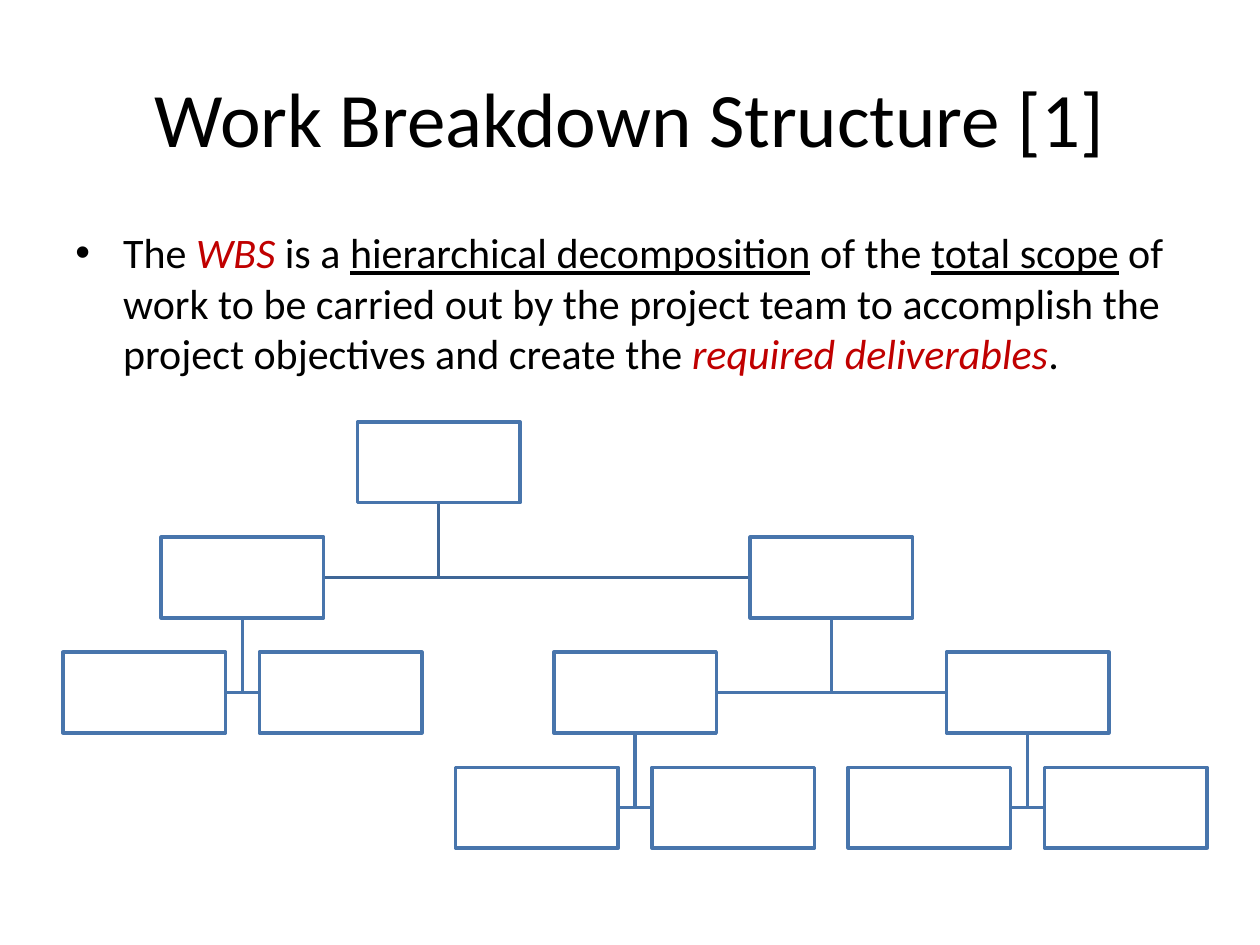
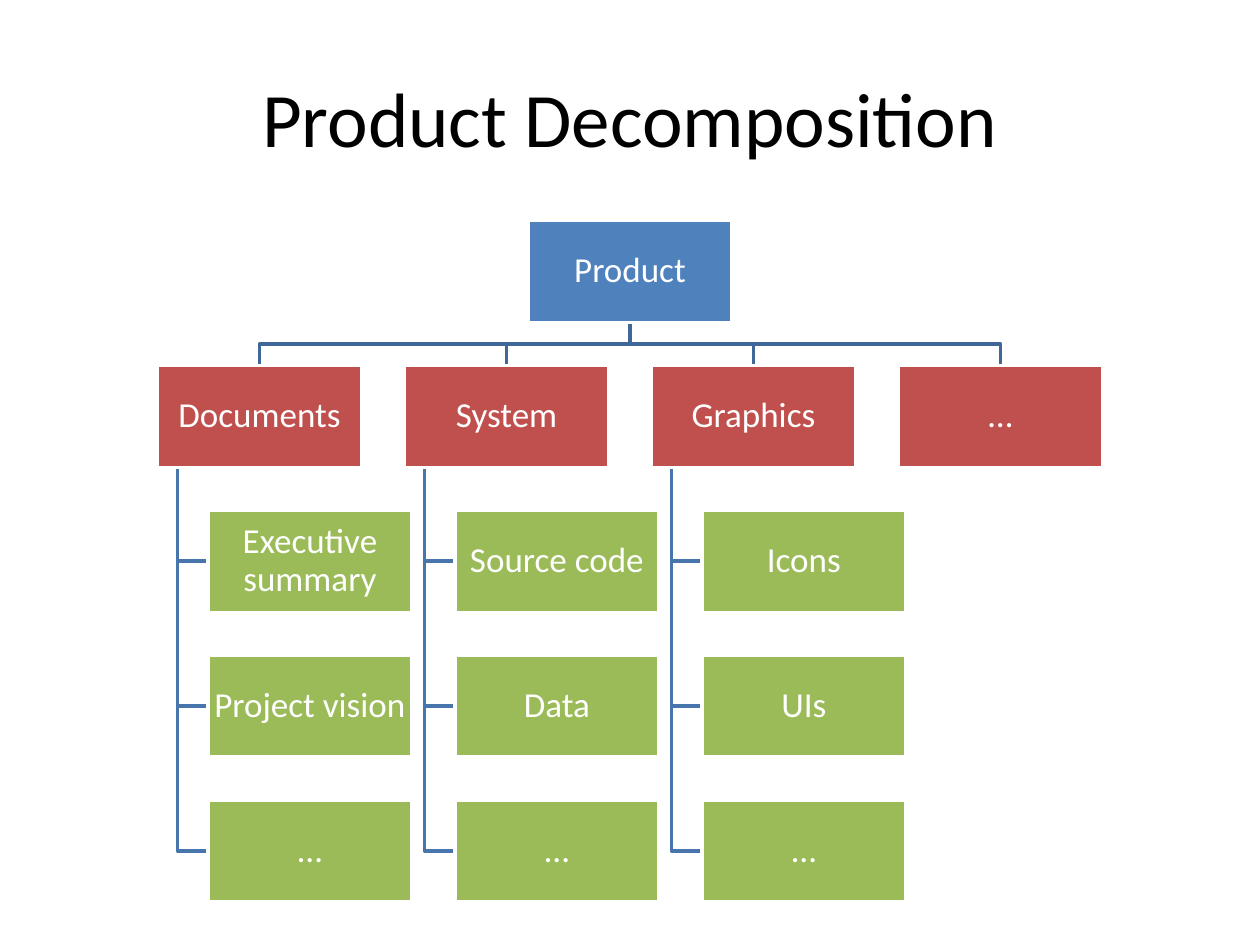
from dataclasses import dataclass
from functools import partial

from lxml import etree
from pptx import Presentation
from pptx import util as u
from pptx.dml.color import RGBColor
from pptx.enum import shapes, text
from pptx.oxml.ns import qn

FONT = "Calibri"
BLACK, WHITE, CRIMSON = "000000", "FFFFFF", "C00000"
BLUE, RED, GREEN = "4F81BD", "C0504D", "9BBB59"
TRUNK, BRANCH = "3F6797", "4875AC"


@dataclass(frozen=True)
class Run:
    text: str
    color: str = ""
    italic: bool = False
    under: bool = False


@dataclass(frozen=True)
class Node:
    """A box of the empty tree, placed by grid column; its depth sets the row."""
    col: int
    kids: tuple["Node", ...] = ()


@dataclass(frozen=True)
class Part:
    name: str
    items: tuple[str, ...] = ()


@dataclass(frozen=True)
class Box:
    x: float
    y: float
    w: float
    h: float

    @property
    def mid(self) -> float:
        return self.x + self.w / 2

    @property
    def low(self) -> float:
        return self.y + self.h

    @property
    def waist(self) -> float:
        return self.y + self.h / 2

    def emu(self) -> list[int]:
        return [u.Inches(n) for n in (self.x, self.y, self.w, self.h)]


TITLE = Box(0.5, 0.3, 9, 1.25)
BODY = Box(0.5, 1.75, 9, 1.33)

SCOPE = (
    Run("The "), Run("WBS", CRIMSON, italic=True), Run(" is a "),
    Run("hierarchical decomposition", under=True), Run(" of the "),
    Run("total scope", under=True),
    Run(" of work to be carried out by the project team to accomplish "
        "the project objectives and create the "),
    Run("required deliverables", CRIMSON, italic=True), Run("."),
)
TREE = Node(3, (
    Node(1, (Node(0), Node(2))),
    Node(7, (
        Node(5, (Node(4), Node(6))),
        Node(9, (Node(8), Node(10))),
    )),
))
PARTS = (
    Part("Documents", ("Executive summary", "Project vision", "…")),
    Part("System", ("Source code", "Data", "…")),
    Part("Graphics", ("Icons", "UIs", "…")),
    Part("…"),
)


def rgb(code: str) -> RGBColor:
    return RGBColor.from_string(code)


def write(frame, *runs: Run, size: float, color: str = BLACK,
          align=text.PP_ALIGN.LEFT, anchor=text.MSO_ANCHOR.TOP,
          inset: float | None = None, lead: float | None = None,
          after: float = 0, bullet: str = "", indent: float = 0) -> None:
    frame.word_wrap = True
    frame.vertical_anchor = anchor
    if inset is not None:
        frame.margin_left = frame.margin_right = u.Inches(inset)
        frame.margin_top = frame.margin_bottom = u.Inches(inset)
    para = frame.paragraphs[0]
    if bullet:
        props = para._p.get_or_add_pPr()
        props.set("marL", str(u.Inches(indent)))
        props.set("indent", str(-u.Inches(indent)))
        etree.SubElement(props, qn("a:buFont"), typeface="Arial")
        etree.SubElement(props, qn("a:buChar"), char=bullet)
    para.alignment = align
    para.space_after = u.Pt(after)
    if lead:
        para.line_spacing = lead
    for part in runs:
        run = para.add_run()
        run.text = part.text
        font = run.font
        font.name, font.size = FONT, u.Pt(size)
        font.color.rgb = rgb(part.color or color)
        font.italic, font.underline = part.italic, part.under


def start(deck, name: str):
    """Add a slide with its title and return its shapes."""
    page = deck.slides.add_slide(deck.slide_layouts[5]).shapes
    head = page.title
    head.left, head.top, head.width, head.height = TITLE.emu()
    write(head.text_frame, Run(name), size=44, align=text.PP_ALIGN.CENTER,
          anchor=text.MSO_ANCHOR.MIDDLE)
    return page


def block(page, box: Box, fill: str, line: str, label: str = "") -> None:
    shape = page.add_shape(shapes.MSO_SHAPE.RECTANGLE, *box.emu())
    shape.shadow.inherit = False
    shape.fill.solid()
    shape.fill.fore_color.rgb = rgb(fill)
    shape.line.color.rgb = rgb(line)
    shape.line.width = u.Pt(2)
    if label:
        write(shape.text_frame, Run(label), size=20, color=WHITE, inset=0.01,
              lead=0.9, after=7, align=text.PP_ALIGN.CENTER,
              anchor=text.MSO_ANCHOR.MIDDLE)


def link(page, color: str, *stops: tuple[float, float]) -> None:
    """Draw an open bent line through the stops."""
    first, *rest = [(u.Inches(x), u.Inches(y)) for x, y in stops]
    pen = page.build_freeform(*first)
    pen.add_line_segments(rest, close=False)
    shape = pen.convert_to_shape()
    shape.shadow.inherit = False
    shape.fill.background()
    shape.line.color.rgb = rgb(color)
    shape.line.width = u.Pt(2)


def spot(node: Node, row: int) -> Box:
    return Box(0.5 + node.col * 7.79 / 10, 3.35 + row * 2.74 / 3, 1.29, 0.64)


def grow(page, node: Node, row: int = 0) -> None:
    """Draw a node over the links to its kids, then the kids."""
    box = spot(node, row)
    for kid in node.kids:
        end = spot(kid, row + 1)
        side = end.x if end.x > box.x else end.x + end.w
        link(page, BRANCH if row else TRUNK, (box.mid, box.low),
             (box.mid, end.waist), (side, end.waist))
    block(page, box, WHITE, BRANCH)
    for kid in node.kids:
        grow(page, kid, row + 1)


def outline(deck) -> None:
    page = start(deck, "Work Breakdown Structure [1]")
    body = page.add_textbox(*BODY.emu())
    write(body.text_frame, *SCOPE, size=24, bullet="•", indent=0.38)
    grow(page, TREE)


def product(deck) -> None:
    page = start(deck, "Product Decomposition")
    cell = partial(Box, w=1.62, h=0.81)
    top, step = 1.75, 1.15
    root = cell(4.19, top)
    for col, part in enumerate(PARTS):
        head = cell(1.25 + col * 1.96, top + step)
        bend = (root.low + head.y) / 2
        link(page, TRUNK, (root.mid, root.low), (root.mid, bend),
             (head.mid, bend), (head.mid, head.y))
        spine = head.x + 0.16
        for row, item in enumerate(part.items, 2):
            box = cell(head.x + 0.4, top + row * step)
            link(page, BRANCH, (spine, head.low), (spine, box.waist),
                 (box.x, box.waist))
            block(page, box, GREEN, WHITE, item)
        block(page, head, RED, WHITE, part.name)
    block(page, root, BLUE, WHITE, "Product")


def main() -> None:
    deck = Presentation()
    deck.slide_width, deck.slide_height = u.Inches(10), u.Inches(7.5)
    outline(deck)
    product(deck)
    deck.save("out.pptx")


if __name__ == "__main__":
    main()
